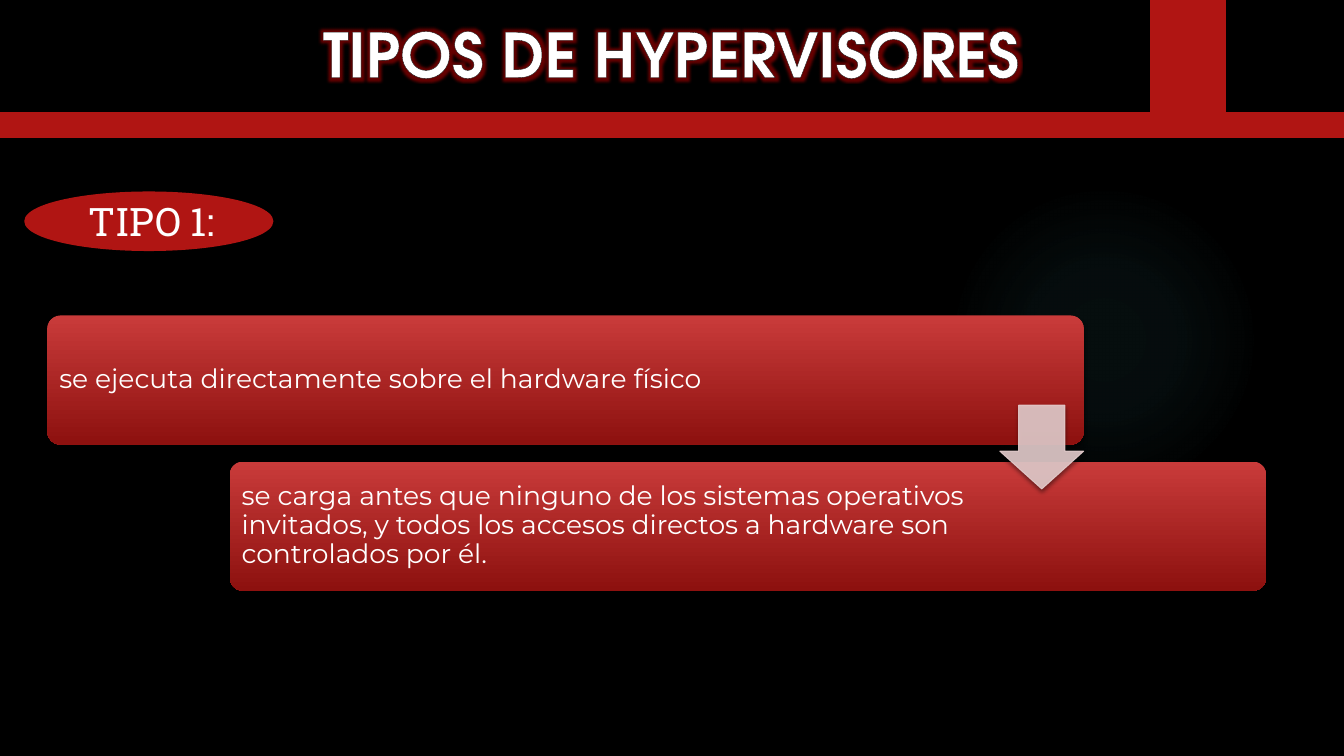
from lxml.etree import SubElement
from pptx import Presentation
from pptx.dml.color import RGBColor
from pptx.enum.shapes import MSO_SHAPE
from pptx.enum.text import MSO_ANCHOR, MSO_AUTO_SIZE, PP_ALIGN
from pptx.oxml.ns import qn
from pptx.util import Inches, Pt

SLIDE_WIDTH, SLIDE_HEIGHT = Inches(13.333), Inches(7.5)

BLACK = RGBColor(0x00, 0x00, 0x00)
WHITE = RGBColor(0xFF, 0xFF, 0xFF)
RED = RGBColor(0xB0, 0x15, 0x13)
LIGHT_RED = RGBColor(0xC9, 0x3B, 0x3A)
DARK_RED = RGBColor(0x8D, 0x11, 0x0F)
PINK = RGBColor(0xE4, 0xCC, 0xCC)
TEAL = RGBColor(0x50, 0xB9, 0xC1)
OUTLINE = RGBColor(0x15, 0x15, 0x15)
GLOW_RED = RGBColor(0xFF, 0x00, 0x00)

# Steps of the cascade: text and right inset in inches
STEPS = [
    ("se ejecuta directamente sobre el hardware físico", 1.32),
    ("se carga antes que ninguno de los sistemas operativos invitados, "
     "y todos los accesos directos a hardware son controlados por él.", 2.72),
]
# Step geometry in percent of the slide
STEP_LEFT, STEP_TOP, STEP_WIDTH, STEP_HEIGHT = 3.53, 41.73, 77.1, 17.07
STEP_SHIFT, STEP_PITCH = 13.57, 19.33
ARROW_WIDTH, ARROW_HEIGHT = 6.23, 11.07


def place(left, top, width, height):
    """Turn percentages of the slide into lengths."""
    return (int(SLIDE_WIDTH * left / 100), int(SLIDE_HEIGHT * top / 100),
            int(SLIDE_WIDTH * width / 100), int(SLIDE_HEIGHT * height / 100))


def add_element(parent, tag, **attributes):
    values = {name: str(value) for name, value in attributes.items()}
    return SubElement(parent, qn(tag), values)


def add_color(parent, color, opacity=100):
    element = add_element(parent, "a:srgbClr", val=color)
    add_element(element, "a:alpha", val=opacity * 1000)


def add_plain_shape(slide, kind, box, color=None, line_width=None):
    shape = slide.shapes.add_shape(kind, *place(*box))
    shape.shadow.inherit = False
    if color is not None:
        shape.fill.solid()
        shape.fill.fore_color.rgb = color
    if line_width is None:
        shape.line.fill.background()
    else:
        shape.line.color.rgb = color
        shape.line.width = Pt(line_width)
    return shape


def add_shadow(shape):
    effects = shape._element.spPr.find(qn("a:effectLst"))
    shadow = add_element(effects, "a:outerShdw", blurRad=Pt(3), dist=Pt(2),
                         dir=90 * 60000, rotWithShape=0)
    add_color(shadow, BLACK, 45)


def format_font(run, name, size, bold=False):
    run.font.name = name
    run.font.size = Pt(size)
    run.font.bold = bold
    run.font.color.rgb = WHITE


def add_halo(slide):
    halo = add_plain_shape(slide, MSO_SHAPE.OVAL, (70.58, 24.4, 23.1, 41.07))
    halo.fill.gradient()
    gradient = halo._element.spPr.find(qn("a:gradFill"))
    for child in list(gradient):
        gradient.remove(child)
    stops = add_element(gradient, "a:gsLst")
    for position, opacity in ((0, 7), (36, 6), (69, 0)):
        add_color(add_element(stops, "a:gs", pos=position * 1000), TEAL, opacity)
    center = add_element(gradient, "a:path", path="circle")
    add_element(center, "a:fillToRect", l=50000, t=50000, r=50000, b=50000)


def format_title(slide):
    title = slide.shapes.title
    title.left, title.top, title.width, title.height = place(1.5, 1.47, 96.9, 11.2)
    frame = title.text_frame
    frame.text = "TIPOS DE HYPERVISORES"
    frame.word_wrap = True
    frame.auto_size = MSO_AUTO_SIZE.SHAPE_TO_FIT_TEXT
    frame.vertical_anchor = MSO_ANCHOR.TOP
    paragraph = frame.paragraphs[0]
    paragraph.alignment = PP_ALIGN.CENTER
    run = paragraph.runs[0]
    format_font(run, "TeX Gyre Adventor", 44, bold=True)
    # Outline goes before the fill, glow right after it
    properties = run.font._element
    line = add_element(properties, "a:ln", w=Pt(1.5))
    add_color(add_element(line, "a:solidFill"), OUTLINE)
    properties.insert(0, line)
    effects = add_element(properties, "a:effectLst")
    add_color(add_element(effects, "a:glow", rad=Pt(8)), GLOW_RED, 40)
    properties.insert(2, effects)


def add_type_label(slide):
    label = add_plain_shape(slide, MSO_SHAPE.OVAL, (1.88, 25.47, 18.38, 7.6), RED, 1.5)
    label.text_frame.vertical_anchor = MSO_ANCHOR.MIDDLE
    paragraph = label.text_frame.paragraphs[0]
    paragraph.alignment = PP_ALIGN.CENTER
    for text, font, size in ((" ", "Arial Narrow", 18), ("TIPO 1:", "Roboto Slab", 28)):
        run = paragraph.add_run()
        run.text = text
        format_font(run, font, size)


def add_step(slide, index, text, right_inset):
    box = (STEP_LEFT + index * STEP_SHIFT, STEP_TOP + index * STEP_PITCH,
           STEP_WIDTH, STEP_HEIGHT)
    step = add_plain_shape(slide, MSO_SHAPE.ROUNDED_RECTANGLE, box)
    step.adjustments[0] = 0.1
    step.fill.gradient()
    step.fill.gradient_angle = 270
    for stop, color, position in zip(step.fill.gradient_stops,
                                     (LIGHT_RED, DARK_RED), (0, 1)):
        stop.color.rgb = color
        stop.position = position
    add_shadow(step)
    frame = step.text_frame
    frame.text = text
    frame.word_wrap = True
    frame.vertical_anchor = MSO_ANCHOR.MIDDLE
    frame.margin_left = frame.margin_top = frame.margin_bottom = Inches(0.08)
    frame.margin_right = Inches(right_inset)
    paragraph = frame.paragraphs[0]
    paragraph.alignment = PP_ALIGN.LEFT
    paragraph.line_spacing = 0.9
    format_font(paragraph.runs[0], "Montserrat", 19)


def add_arrow(slide):
    left = STEP_LEFT + STEP_WIDTH - ARROW_WIDTH
    arrow = add_plain_shape(slide, MSO_SHAPE.DOWN_ARROW,
                            (left, 53.6, ARROW_WIDTH, ARROW_HEIGHT), PINK, 0.75)
    arrow.adjustments[0], arrow.adjustments[1] = 0.55, 0.45
    for color in arrow._element.spPr.iter(qn("a:srgbClr")):
        add_element(color, "a:alpha", val=90000)
    add_shadow(arrow)


def main():
    presentation = Presentation()
    presentation.slide_width, presentation.slide_height = SLIDE_WIDTH, SLIDE_HEIGHT
    slide = presentation.slides.add_slide(presentation.slide_layouts[5])
    slide.background.fill.solid()
    slide.background.fill.fore_color.rgb = BLACK

    # Backdrop and header
    add_halo(slide)
    tab = add_plain_shape(slide, MSO_SHAPE.RECTANGLE, (85.58, 0, 5.63, 16.67), RED)
    add_shadow(tab)
    add_plain_shape(slide, MSO_SHAPE.RECTANGLE, (0, 14.93, 100, 3.2), RED, 1.5)
    format_title(slide)

    # Label and cascade of steps
    add_type_label(slide)
    for index, (text, right_inset) in enumerate(STEPS):
        add_step(slide, index, text, right_inset)
    add_arrow(slide)

    presentation.save("out.pptx")


if __name__ == "__main__":
    main()
